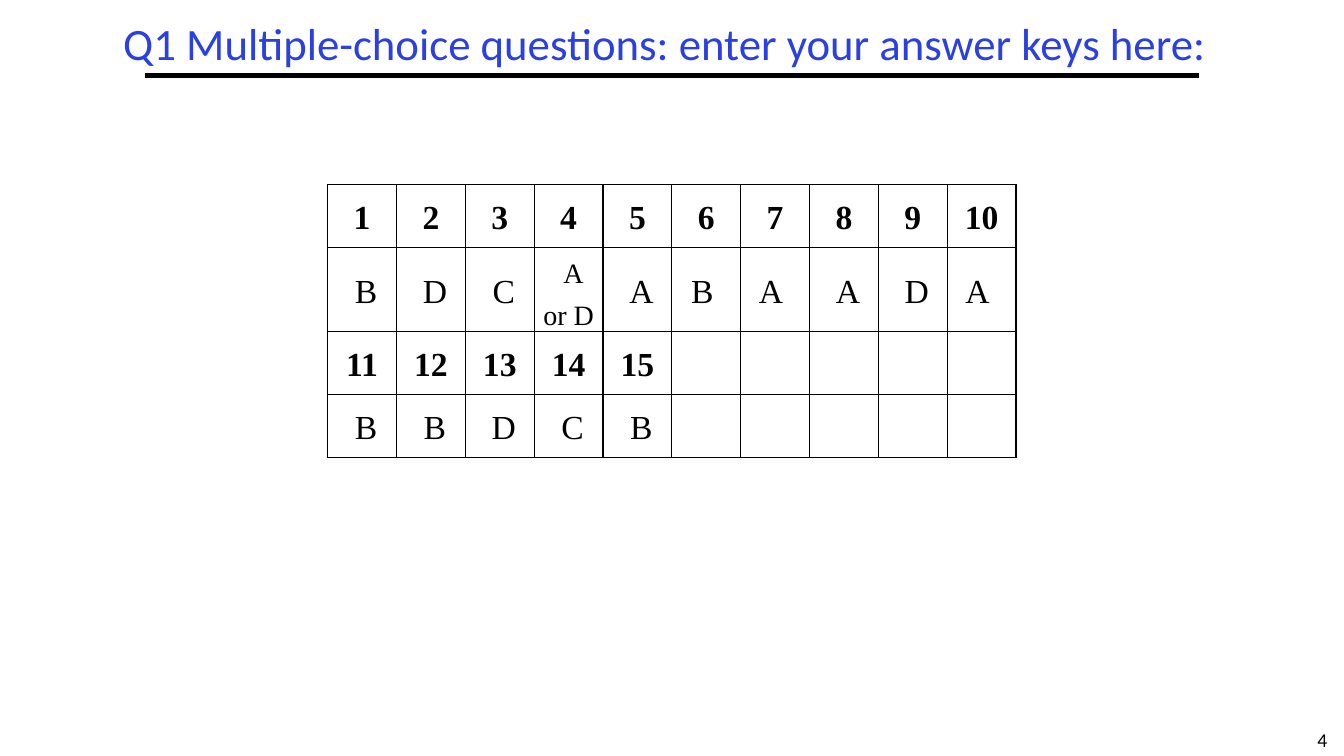
from dataclasses import dataclass

from lxml import etree
from pptx import Presentation
from pptx.dml.color import RGBColor
from pptx.enum.shapes import MSO_CONNECTOR
from pptx.enum.text import MSO_ANCHOR as ANCHOR, PP_ALIGN as ALIGN
from pptx.oxml.ns import qn
from pptx.util import Inches, Pt

COLORS = {"text": "000000", "title": "2A40E2", "rule": "000000", "border": "000000"}
COLUMNS = 10
COL_WIDTH = 0.683
ROW_HEIGHT = 0.625
CELL_MARGIN = 0.07
ANSWER_SHIFT = 0.08


@dataclass
class Label:
    text: str
    left: float
    top: float
    width: float
    height: float
    size: int
    color: str
    wrap: bool = False
    line_spacing: float = 1.0


@dataclass
class Answer:
    text: str
    shift: str = "right"
    size: int = 24


LABELS = [
    Label("4", 12.9, 7.17, 0.43, 0.33, 14, "text"),
    Label("Q1 Multiple-choice questions: enter your answer keys here:",
          0.75, 0.17, 11.69, 0.58, 32, "title", True, 0.9),
]
ANSWERS = [
    Answer("B"), Answer("D"), Answer("C"), Answer("A or D", size=20), Answer("A"),
    Answer("B", "left"), Answer("A", "left"), Answer("A"), Answer("D"),
    Answer("A", "left"), Answer("B"), Answer("B"), Answer("D"), Answer("C"),
    Answer("B"),
]


def rgb(name: str) -> RGBColor:
    return RGBColor.from_string(COLORS[name])


def style_run(p, font: str, size: int, color: str, bold: bool = False) -> None:
    r = p.runs[0]
    r.font.name = font
    r.font.size = Pt(size)
    r.font.bold = bold
    r.font.color.rgb = rgb(color)


def add_label(slide, label: Label) -> None:
    sp = slide.shapes.add_textbox(Inches(label.left), Inches(label.top),
                                  Inches(label.width), Inches(label.height))
    tf = sp.text_frame
    tf.word_wrap = label.wrap
    tf.vertical_anchor = ANCHOR.MIDDLE
    tf.text = label.text
    p = tf.paragraphs[0]
    p.alignment = ALIGN.CENTER
    p.line_spacing = label.line_spacing
    style_run(p, "Calibri", label.size, label.color)


def add_rule(slide) -> None:
    line = slide.shapes.add_connector(MSO_CONNECTOR.STRAIGHT, Inches(1.44), Inches(0.75),
                                      Inches(11.89), Inches(0.75))
    line.line.color.rgb = rgb("rule")
    line.line.width = Pt(3)
    etree.SubElement(line._element.spPr, qn("a:effectLst"))


def format_cell(cell) -> None:
    cell.vertical_anchor = ANCHOR.MIDDLE
    cell.margin_left = cell.margin_right = Inches(CELL_MARGIN)
    cell.margin_top = cell.margin_bottom = 0
    props = cell._tc.get_or_add_tcPr()
    for side in ("lnL", "lnR", "lnT", "lnB"):
        border = etree.SubElement(props, qn(f"a:{side}"), w=str(Pt(1)))
        fill = etree.SubElement(border, qn("a:solidFill"))
        etree.SubElement(fill, qn("a:srgbClr"), val=COLORS["border"])
    cell.fill.background()


def fill_cell(cell, text: str, size: int, bold: bool):
    cell.text = text
    p = cell.text_frame.paragraphs[0]
    p.alignment = ALIGN.CENTER
    p.line_spacing = Pt(30)
    p.space_after = Pt(3.6)
    style_run(p, "Times New Roman", size, "text", bold)
    return p


def add_answer(cell, answer: Answer) -> None:
    p = fill_cell(cell, answer.text, answer.size, False)
    if answer.shift == "right":
        p._p.get_or_add_pPr().set("indent", str(Inches(ANSWER_SHIFT)))
    else:
        cell.margin_right = Inches(CELL_MARGIN + ANSWER_SHIFT)


def add_answer_table(slide) -> None:
    rows = 2 * -(-len(ANSWERS) // COLUMNS)
    table = slide.shapes.add_table(rows, COLUMNS, Inches(3.25), Inches(1.83),
                                   Inches(COLUMNS * COL_WIDTH),
                                   Inches(rows * ROW_HEIGHT)).table
    table.first_row = False
    table.horz_banding = False
    for column in table.columns:
        column.width = Inches(COL_WIDTH)
    for row in table.rows:
        row.height = Inches(ROW_HEIGHT)
    for cell in table.iter_cells():
        format_cell(cell)
    for i, answer in enumerate(ANSWERS):
        band, col = divmod(i, COLUMNS)
        fill_cell(table.cell(2 * band, col), str(i + 1), 24, True)
        add_answer(table.cell(2 * band + 1, col), answer)


def main() -> None:
    prs = Presentation()
    prs.slide_width = Inches(13.33)
    prs.slide_height = Inches(7.5)
    slide = prs.slides.add_slide(prs.slide_layouts[6])
    add_rule(slide)
    for label in LABELS:
        add_label(slide, label)
    add_answer_table(slide)
    prs.save("out.pptx")


if __name__ == "__main__":
    main()
